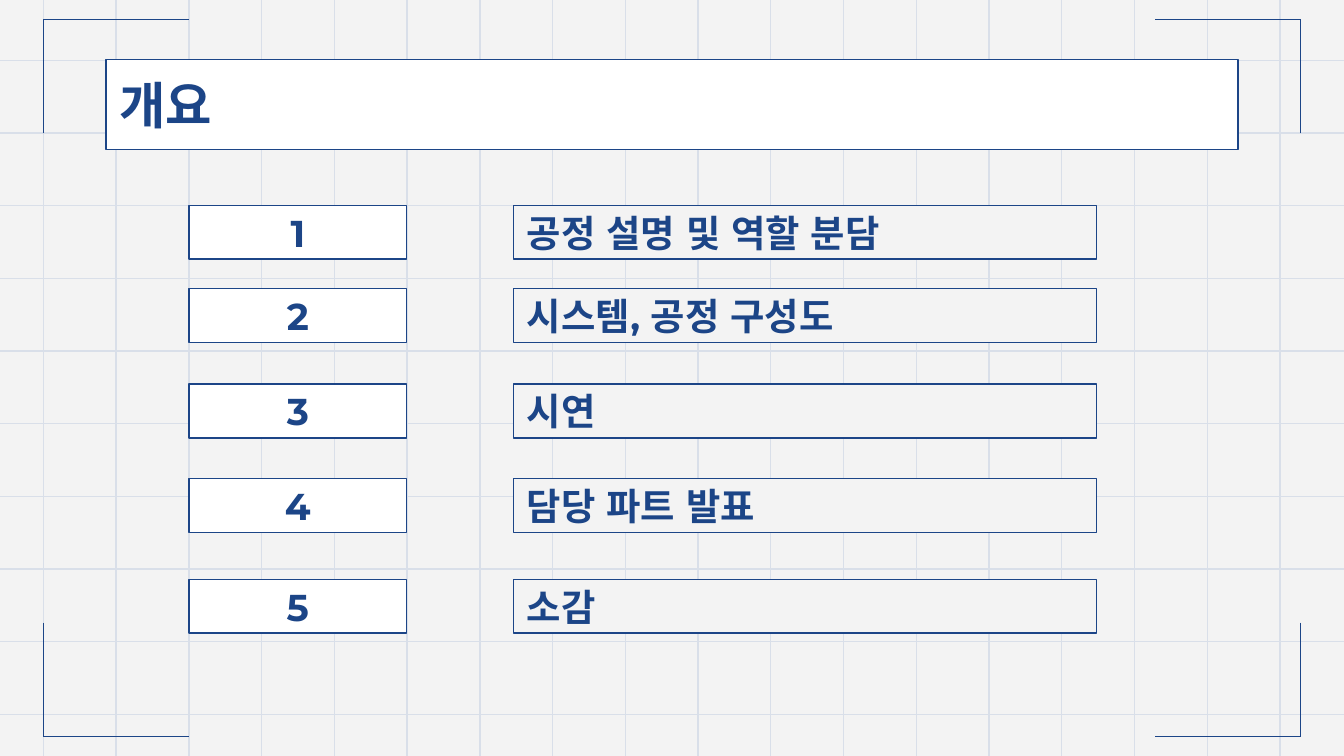
from lxml import etree
from pptx import Presentation
from pptx.dml.color import RGBColor
from pptx.enum.shapes import MSO_CONNECTOR, MSO_SHAPE
from pptx.enum.text import MSO_ANCHOR, MSO_AUTO_SIZE, PP_ALIGN
from pptx.oxml.ns import qn
from pptx.util import Cm, Pt

LINE = MSO_CONNECTOR.STRAIGHT
RECT = MSO_SHAPE.RECTANGLE
MID = MSO_ANCHOR.MIDDLE
FIXED = MSO_AUTO_SIZE.NONE
LEFT, CENTER = PP_ALIGN.LEFT, PP_ALIGN.CENTER

NAVY = RGBColor(0x1C, 0x45, 0x87)
GRID = RGBColor(0xD9, 0xDF, 0xE9)
PALE = RGBColor(0xF3, 0xF3, 0xF3)
WHITE = RGBColor(0xFF, 0xFF, 0xFF)
FONT = "Montserrat"
WIDE, HIGH = 25.4, 14.29

ROWS = [
    (3.88, "공정 설명 및 역할 분담"),
    (5.46, "시스템, 공정 구성도"),
    (7.26, "시연"),
    (9.05, "담당 파트 발표"),
    (10.95, "소감"),
]


def add_line(slide, x1, y1, x2, y2, color):
    """Draw a thin straight line between two points in centimetres."""
    line = slide.shapes.add_connector(LINE, Cm(x1), Cm(y1), Cm(x2), Cm(y2))
    line.line.color.rgb = color
    line.line.width = Pt(0.75)
    etree.SubElement(line.element.spPr, qn("a:effectLst"))


def add_grid(slide):
    """Draw the evenly spaced background grid."""
    for row in range(10):
        y = 1.14 + row * (13.5 - 1.14) / 9
        add_line(slide, 0, y, WIDE, y, GRID)
    for col in range(18):
        x = 0.82 + col * (24.19 - 0.82) / 17
        add_line(slide, x, HIGH, x, 0, GRID)


def add_frame(slide):
    """Draw the four corner brackets."""
    for x, arm in ((0.82, 2.75), (24.58, -2.75)):
        for y, leg in ((0.37, 2.15), (13.92, -2.15)):
            add_line(slide, x, y + leg, x, y, NAVY)
            add_line(slide, x + arm, y, x, y, NAVY)


def set_text(shape, text, size=20, align=LEFT):
    """Write bold navy text in the middle of a shape."""
    frame = shape.text_frame
    frame.text = text
    frame.word_wrap = True
    frame.auto_size = FIXED
    frame.vertical_anchor = MID
    frame.margin_left = frame.margin_right = Cm(0.25)
    frame.margin_top = frame.margin_bottom = Cm(0.25)
    para = frame.paragraphs[0]
    para.alignment = align
    font = para.runs[0].font
    font.name = FONT
    font.size = Pt(size)
    font.bold = True
    font.color.rgb = NAVY
    latin = para.runs[0]._r.rPr.find(qn("a:latin"))
    latin.addnext(latin.makeelement(qn("a:ea"), {"typeface": FONT}))


def set_box(shape, fill):
    """Give a shape a solid fill and a navy outline."""
    shape.fill.solid()
    shape.fill.fore_color.rgb = fill
    shape.line.color.rgb = NAVY
    shape.line.width = Pt(0.75)


def add_box(slide, x, y, width, fill, text, **style):
    """Add a labelled rectangle of one row."""
    box = slide.shapes.add_shape(RECT, Cm(x), Cm(y), Cm(width), Cm(1.02))
    box.shadow.inherit = False
    set_box(box, fill)
    set_text(box, text, **style)


def add_title(slide, text):
    """Place the title in front of the grid."""
    title = slide.shapes.title
    title.left, title.top = Cm(2), Cm(1.13)
    title.width, title.height = Cm(21.4), Cm(1.7)
    set_box(title, WHITE)
    set_text(title, text, size=27)
    title.element.getparent().append(title.element)


def main():
    """Build the outline slide and save it."""
    deck = Presentation()
    deck.slide_width, deck.slide_height = Cm(WIDE), Cm(HIGH)
    slide = deck.slides.add_slide(deck.slide_layouts[5])
    slide.background.fill.solid()
    slide.background.fill.fore_color.rgb = PALE
    add_grid(slide)
    add_frame(slide)
    add_title(slide, "개요")
    for num, (y, text) in enumerate(ROWS, 1):
        add_box(slide, 3.57, y, 4.12, WHITE, str(num), align=CENTER)
        add_box(slide, 9.71, y, 11.01, PALE, text)
    deck.save("out.pptx")


if __name__ == "__main__":
    main()
